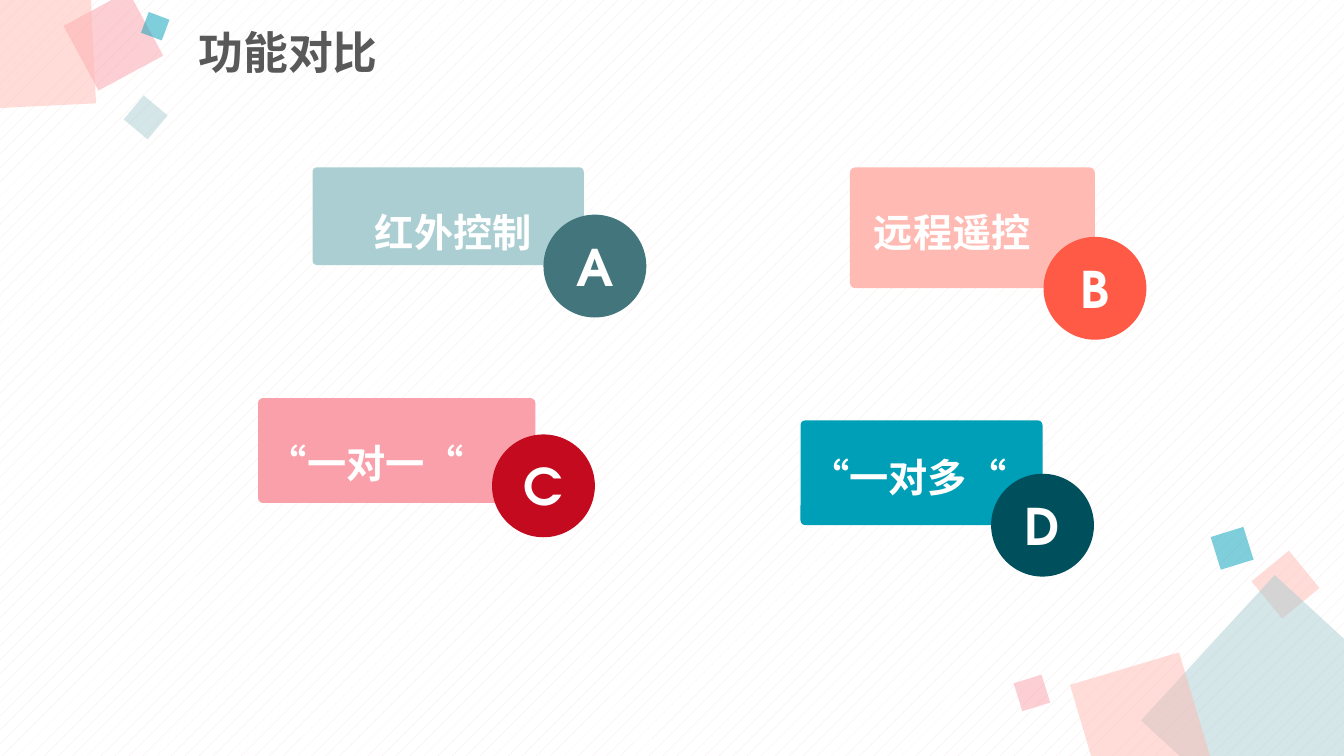
from lxml import etree
from pptx import Presentation
from pptx.dml.color import RGBColor
from pptx.enum.dml import MSO_PATTERN
from pptx.enum.lang import MSO_LANGUAGE_ID as LANG
from pptx.enum.shapes import MSO_SHAPE as SHAPE
from pptx.enum.text import MSO_ANCHOR as ANCHOR, MSO_AUTO_SIZE as AUTO, PP_ALIGN as ALIGN
from pptx.oxml.ns import qn
from pptx.util import Inches, Pt

COLORS = {
    "white": "FFFFFF", "dots": "F5E5E4", "title": "595959",
    "mist": "AACED2", "slate": "42767C",
    "peach": "FFBBB3", "coral": "FF5A46",
    "pink": "FAA0AA", "crimson": "C30A1F",
    "teal": "009FB8", "deep": "004F5C",
}
LATIN = "TeX Gyre Adventor"
CJK = "Noto Sans CJK SC"
BADGE = 1.02

CONFETTI = [
    (12.51, 5.56, 0.48, 320.6, "peach"),
    (11.72, 6.11, 1.96, 42.6, "mist"),
    (10.75, 6.61, 1.13, 343.4, "peach"),
    (10.09, 6.73, 0.29, 342.8, "pink"),
    (12.05, 5.27, 0.34, 342.8, "teal"),
    (0.76, 0.04, 0.73, 331.6, "pink"),
    (-0.46, -0.32, 1.38, 357.2, "peach"),
    (1.29, 1.01, 0.31, 309.8, "mist"),
    (1.43, 0.15, 0.22, 290.5, "teal"),
]

# box, label offset and width, badge centre relative to the lower right corner
CARDS = [
    ((3.1, 1.66, 2.69, 0.97), "红外控制", (0.52, 0.22, 1.77), "A", (0.11, 0.01), "mist", "slate"),
    ((8.43, 1.66, 2.43, 1.2), "远程遥控", (0.14, 0.22, 1.77), "B", (0, 0), "peach", "coral"),
    ((2.56, 3.95, 2.75, 1.04), "“一对一“", (0, 0.22, 2.17), "C", (0.08, -0.17), "pink", "crimson"),
    ((7.94, 4.17, 2.4, 1.04), "“一对多“", (0, 0.14, 2.17), "D", (0, 0), "teal", "deep"),
]


def rgb(name):
    return RGBColor.from_string(COLORS[name])


def add_block(slide, kind, box, color):
    sp = slide.shapes.add_shape(kind, *map(Inches, box))
    sp.shadow.inherit = False
    sp.fill.solid()
    sp.fill.fore_color.rgb = rgb(color)
    sp.line.fill.background()
    return sp


def add_text(slide, box):
    return slide.shapes.add_textbox(*map(Inches, box)).text_frame


def write(p, text, size, font=LATIN, color="white"):
    r = p.add_run()
    r.text = text
    r.font.size = Pt(size)
    r.font.bold = True
    r.font.name = font
    r.font.color.rgb = rgb(color)
    r.font.language_id = LANG.SIMPLIFIED_CHINESE
    etree.SubElement(r.font._element, qn("a:ea")).set("typeface", CJK)


def add_background(slide):
    fill = slide.background.fill
    fill.patterned()
    fill.pattern = MSO_PATTERN.PERCENT_5
    fill.fore_color.rgb = rgb("dots")
    fill.back_color.rgb = rgb("white")


def add_confetti(slide):
    for left, top, side, angle, color in CONFETTI:
        sp = add_block(slide, SHAPE.RECTANGLE, (left, top, side, side), color)
        sp.rotation = angle
        tint = sp.fill._xPr.find(".//" + qn("a:srgbClr"))
        etree.SubElement(tint, qn("a:alpha")).set("val", "50000")


def add_title(slide, box, text):
    tf = add_text(slide, box)
    tf.word_wrap = True
    tf.vertical_anchor = ANCHOR.MIDDLE
    p = tf.paragraphs[0]
    p.line_spacing = 0.9
    write(p, text, 32, CJK, "title")


def add_card(slide, box, label, label_at, letter, badge_shift, color, badge_color):
    left, top, width, height = box
    card = add_block(slide, SHAPE.ROUNDED_RECTANGLE, box, color)
    card.adjustments[0] = 0.046

    badge_left = left + width + badge_shift[0] - BADGE / 2
    badge_top = top + height + badge_shift[1] - BADGE / 2
    badge = add_block(slide, SHAPE.OVAL, (badge_left, badge_top, BADGE, BADGE), badge_color)
    badge.text_frame.vertical_anchor = ANCHOR.MIDDLE
    p = badge.text_frame.paragraphs[0]
    p.alignment = ALIGN.CENTER
    write(p, letter, 36)

    dx, dy, label_width = label_at
    tf = add_text(slide, (left + dx, top + dy, label_width, 0.65))
    tf.word_wrap = False
    tf.auto_size = AUTO.SHAPE_TO_FIT_TEXT
    p = tf.paragraphs[0]
    p.line_spacing = 1.3
    write(p, label, 28)


def main():
    prs = Presentation()
    prs.slide_width, prs.slide_height = Inches(13.33), Inches(7.5)
    slide = prs.slides.add_slide(prs.slide_layouts[6])
    add_background(slide)
    add_confetti(slide)
    add_title(slide, (1.87, 0.26, 2.25, 0.58), "功能对比")
    for card in CARDS:
        add_card(slide, *card)
    prs.save("out.pptx")


if __name__ == "__main__":
    main()
